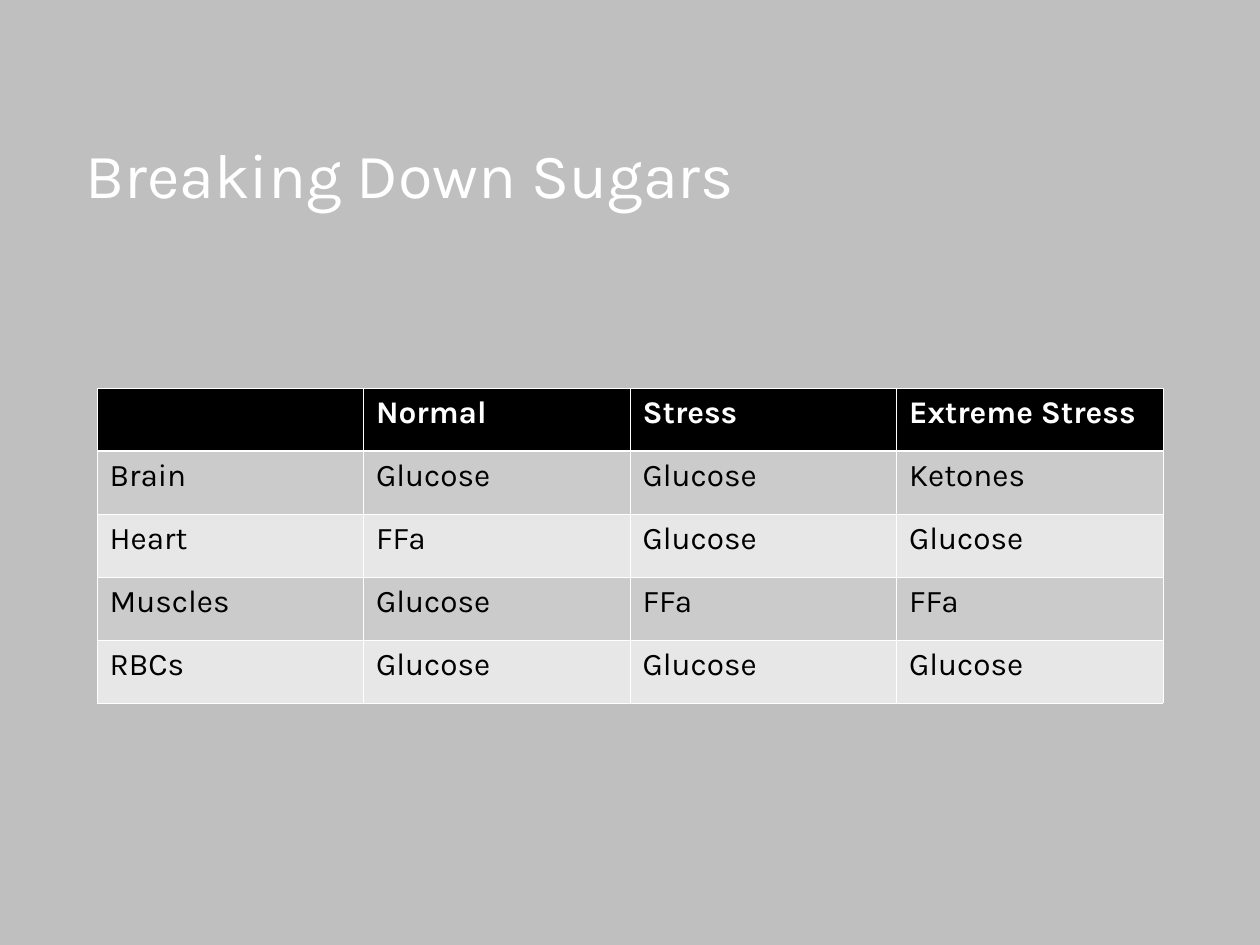
import pptx
import pptx.dml.color
import pptx.enum.text
import pptx.oxml.ns
import pptx.util
import lxml.etree

WIDE, HIGH = 10, 7.5
ROWS = [
    ["", "Normal", "Stress", "Extreme Stress"],
    ["Brain", "Glucose", "Glucose", "Ketones"],
    ["Heart", "FFa", "Glucose", "Glucose"],
    ["Muscles", "Glucose", "FFa", "FFa"],
    ["RBCs", "Glucose", "Glucose", "Glucose"],
]
THIN, THICK = 0.45, 1.47
WHITE, BLACK = "FFFFFF", "000000"
BANDS = ["E7E7E7", "CBCBCB"]


def paint(fill, tone):
    fill.solid()
    fill.fore_color.rgb = pptx.dml.color.RGBColor.from_string(tone)


def place(*box):
    return [pptx.util.Inches(n) for n in box]


def write(frame, text, size=18, tone=BLACK, bold=False, lead=None):
    para = frame.paragraphs[0]
    para.line_spacing = lead
    run = para.add_run()
    run.text = text
    font = run.font
    font.name, font.size, font.bold = "Karla", pptx.util.Pt(size), bold
    paint(font.fill, tone)


def edge(cell, side, width):
    props = cell._tc.get_or_add_tcPr()
    name = pptx.oxml.ns.qn
    line = lxml.etree.SubElement(props, name("a:ln" + side), w=str(pptx.util.Pt(width)))
    fill = lxml.etree.SubElement(line, name("a:solidFill"))
    lxml.etree.SubElement(fill, name("a:srgbClr"), val=WHITE)


def title(slide, text):
    frame = slide.shapes.add_textbox(*place(0.58, 0.82, 7.54, 1.18)).text_frame
    frame.word_wrap = True
    frame.vertical_anchor = pptx.enum.text.MSO_ANCHOR.MIDDLE
    write(frame, text, size=36, tone=WHITE, lead=0.9)


def grid(slide, rows):
    box = place(0.77, 3.08, 8.46, 2.5)
    table = slide.shapes.add_table(len(rows), len(rows[0]), *box).table
    for r, row in enumerate(rows):
        head = r == 0
        for c, text in enumerate(row):
            cell = table.cell(r, c)
            for side in "LRTB":
                rule = (r, side) in [(0, "B"), (1, "T")]
                edge(cell, side, THICK if rule else THIN)
            paint(cell.fill, BLACK if head else BANDS[r % 2])
            if text:
                write(cell.text_frame, text, tone=WHITE if head else BLACK, bold=head)


def main():
    deck = pptx.Presentation()
    deck.slide_width, deck.slide_height = place(WIDE, HIGH)
    slide = deck.slides.add_slide(deck.slide_layouts[6])
    paint(slide.background.fill, "BFBFBF")
    title(slide, "Breaking Down Sugars")
    grid(slide, ROWS)
    deck.save("out.pptx")


if __name__ == "__main__":
    main()
